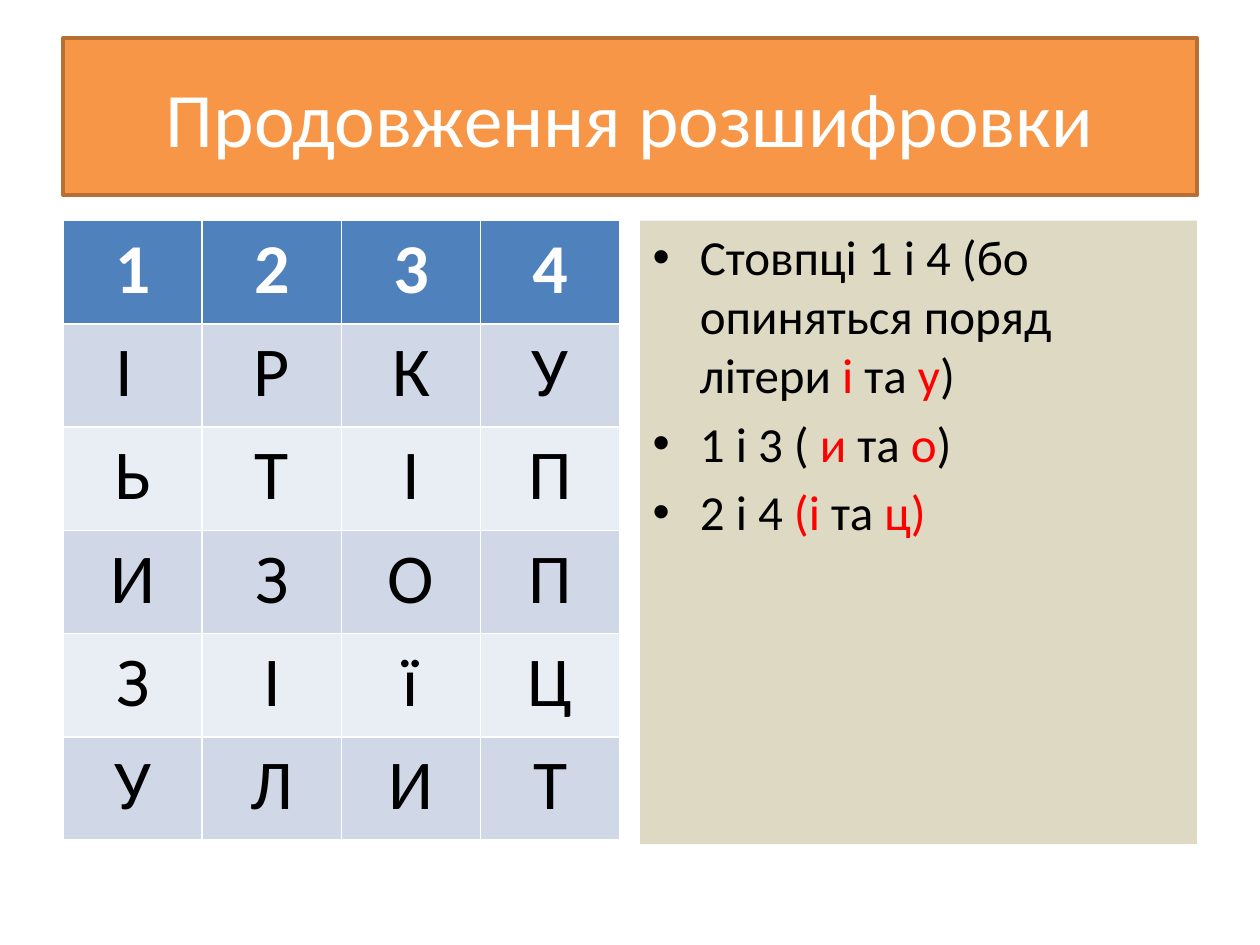
from pptx import Presentation
from pptx.dml.color import RGBColor
from pptx.enum.text import MSO_ANCHOR, PP_ALIGN
from pptx.util import Inches, Pt

CENTER = PP_ALIGN.CENTER
MIDDLE = MSO_ANCHOR.MIDDLE
WHITE = RGBColor(0xFF, 0xFF, 0xFF)
BLACK = RGBColor(0x00, 0x00, 0x00)
RED = RGBColor(0xFF, 0x00, 0x00)
ORANGE = RGBColor(0xF7, 0x96, 0x46)
BROWN = RGBColor(0xB7, 0x6F, 0x34)
BLUE = RGBColor(0x4F, 0x81, 0xBD)
BAND_DARK = RGBColor(0xD0, 0xD8, 0xE8)
BAND_LIGHT = RGBColor(0xE9, 0xED, 0xF4)
SAND = RGBColor(0xDD, 0xD9, 0xC3)

CIPHER_ROWS = ["1 2 3 4", "І Р К У", "Ь Т І П", "И З О П", "З І ї Ц", "У Л И Т"]
HINTS = [
    [("Стовпці 1 і 4 (бо опиняться поряд літери ", BLACK), ("і ", RED),
     ("та", BLACK), (" у", RED), (")", BLACK)],
    [("1 і 3 ( ", BLACK), ("и ", RED), ("та ", BLACK), ("о", RED), (")", BLACK)],
    [("2 і 4 ", BLACK), ("(і ", RED), ("та ", BLACK), ("ц)", RED)],
]


def write(para, text, size=28, color=BLACK, bold=False, align=None):
    span = para.add_run()
    span.text = text
    span.font.name = "Calibri"
    span.font.size = Pt(size)
    span.font.bold = bold
    span.font.color.rgb = color
    if align is not None:
        para.alignment = align


deck = Presentation()
deck.slide_width = Inches(10)
deck.slide_height = Inches(7.5)
page = deck.slides.add_slide(deck.slide_layouts[1])

margin = deck.slide_width // 20
content_width = deck.slide_width - 2 * margin
gap = Inches(0.16)
column_width = (content_width - gap) // 2
content_top = Inches(1.75)
content_height = Inches(4.95)

title = page.shapes.title
title.left, title.top = margin, Inches(0.3)
title.width, title.height = content_width, deck.slide_height // 6
title.fill.solid()
title.fill.fore_color.rgb = ORANGE
title.line.color.rgb = BROWN
title.line.width = Pt(2)
title.text_frame.vertical_anchor = MIDDLE
write(title.text_frame.paragraphs[0], "Продовження розшифровки",
      size=44, color=WHITE, align=CENTER)

row_height = Inches(0.82)
row_count = len(CIPHER_ROWS)
table = page.shapes.add_table(row_count, 4, margin, content_top,
                              column_width, row_height * row_count).table
for row, letters in enumerate(CIPHER_ROWS):
    header = row == 0
    fill = BLUE if header else BAND_DARK if row % 2 else BAND_LIGHT
    for column, letter in enumerate(letters.split()):
        cell = table.cell(row, column)
        cell.fill.solid()
        cell.fill.fore_color.rgb = fill
        text = "І " if (row, column) == (1, 0) else letter
        write(cell.text_frame.paragraphs[0], text, size=40,
              color=WHITE if header else BLACK, bold=header, align=CENTER)

body = page.placeholders[1]
body.left, body.top = margin + column_width + gap, content_top
body.width, body.height = column_width, content_height
body.fill.solid()
body.fill.fore_color.rgb = SAND
for index, hint in enumerate(HINTS):
    para = body.text_frame.add_paragraph() if index else body.text_frame.paragraphs[0]
    para.space_before = Pt(5.6 if index else 0)
    for text, color in hint:
        write(para, text, color=color)

deck.save("out.pptx")
